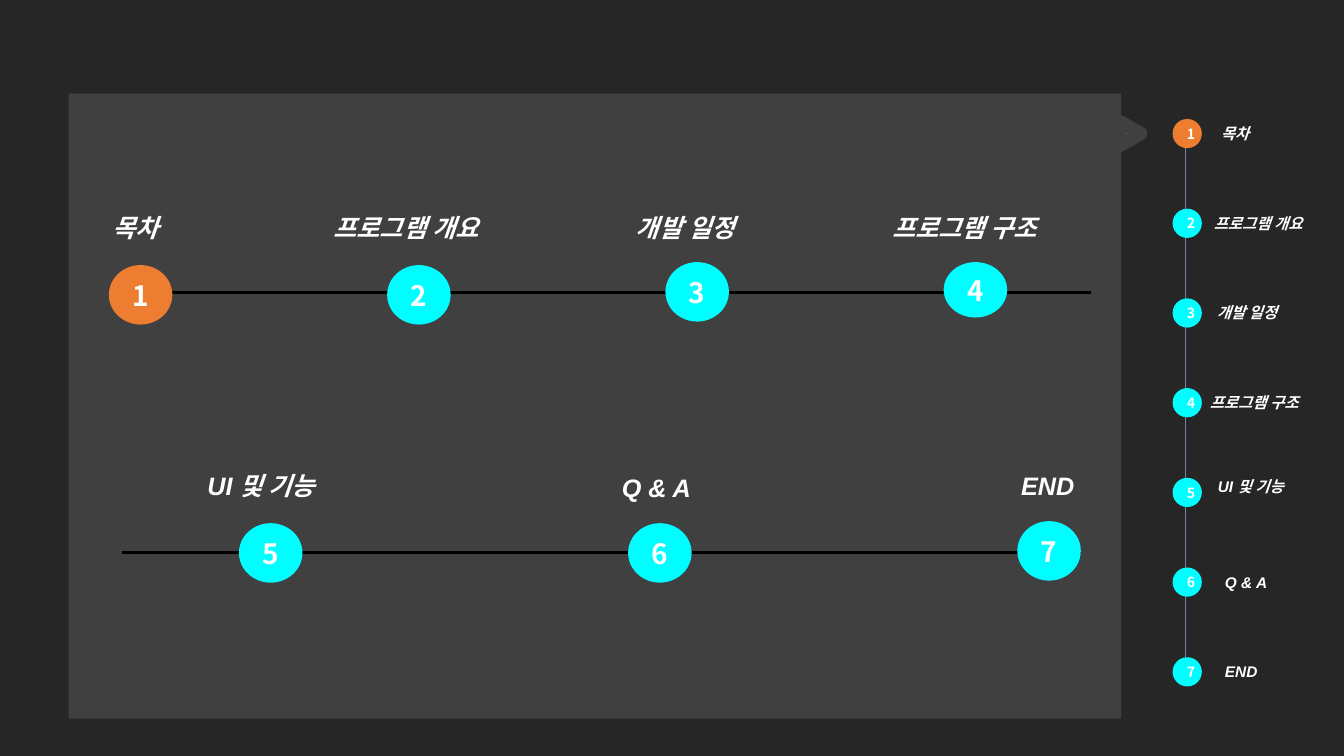
import pptx
import pptx.util
import pptx.dml.color
import pptx.enum.shapes
import pptx.enum.text
import pptx.oxml

PX = 9144  # 100 px to the inch
SHAPE = pptx.enum.shapes.MSO_SHAPE
CYAN, ORANGE, WHITE, GREY = "00FDFF", "ED7D31", "FFFFFF", "404040"


def px(*nums):
    return [pptx.util.Emu(n * PX) for n in nums]


def color(code):
    return pptx.dml.color.RGBColor.from_string(code)


def write(frame, text, size, font, slant=False):
    run = frame.paragraphs[0].add_run()
    run.text = text
    run.font.name = font
    run.font.size = pptx.util.Pt(size)
    run.font.bold = True
    run.font.italic = slant
    run.font.color.rgb = color(WHITE)


def shape(slide, kind, box, fill):
    item = slide.shapes.add_shape(kind, *px(*box))
    item.shadow.inherit = False
    item.fill.solid()
    item.fill.fore_color.rgb = color(fill)
    item.line.fill.background()
    return item


def line(slide, ends, code, width):
    item = slide.shapes.add_connector(
        pptx.enum.shapes.MSO_CONNECTOR.STRAIGHT, *px(*ends))
    item.line.color.rgb = color(code)
    item.line.width = pptx.util.Pt(width)
    item._element.spPr.append(
        pptx.oxml.parse_xml('<a:effectLst xmlns:a="http://schemas.openxmlformats.org/drawingml/2006/main"/>'))


def dot(slide, num, box, size):
    """Numbered circle; the current step, 1, is orange."""
    item = shape(slide, SHAPE.OVAL, box, ORANGE if num == 1 else CYAN)
    frame = item.text_frame
    frame.vertical_anchor = pptx.enum.text.MSO_ANCHOR.MIDDLE
    frame.paragraphs[0].alignment = pptx.enum.text.PP_ALIGN.CENTER
    write(frame, str(num), size, "Noto Sans CJK KR")


def label(slide, text, box, size):
    frame = slide.shapes.add_textbox(*px(*box)).text_frame
    frame.word_wrap = True
    frame.auto_size = pptx.enum.text.MSO_AUTO_SIZE.SHAPE_TO_FIT_TEXT
    write(frame, text, size, "Arial", True)


def panel(slide, left, top, width, height):
    """Grey panel with a pointer towards the first step of the rail."""
    shape(slide, SHAPE.RECTANGLE, (left, top, width, height), GREY)
    tip = shape(slide, SHAPE.ISOSCELES_TRIANGLE,
                (left + width - 3, top + 29, 24, 21), WHITE)
    tip.rotation = 90
    tip.line.color.rgb = color(GREY)
    tip.line.width = pptx.util.Pt(9.5)


def row(slide, left, top, step, first, ends, stops):
    """Row of steps; a stop is text, label x, width and drop, dot drop, height."""
    line(slide, (left + ends[0], top + 84, left + ends[1], top + 84),
         "000000", 2.25)
    for i, (text, x, wide, drop, fall, high) in enumerate(stops):
        label(slide, text, (left + x, top + drop, wide, 40), 18)
        dot(slide, first + i, (left + step * i, top + fall, 63, high), 20)


def rail(slide, left, top, step, stops):
    """Side list of steps; a stop is text, label x, width and drop."""
    line(slide, (left + 13, top + 20, left + 13, top + step * 6 + 17),
         "77809D", 1)
    for i, (text, x, wide, drop) in enumerate(stops):
        y = top + step * i
        label(slide, text, (left + x, y + drop, wide, 29), 11)
        dot(slide, i + 1, (left, y, 29, 29), 10)


def main():
    deck = pptx.Presentation()
    deck.slide_width, deck.slide_height = px(1333, 750)
    slide = deck.slides.add_slide(deck.slide_layouts[6])
    slide.background.fill.solid()
    slide.background.fill.fore_color.rgb = color("262626")

    panel(slide, 68, 93, 1044, 620)
    row(slide, 108, 206, 276, 1, (1, 974), [
        ("목차", -6, 74, 0, 57, 59),
        ("프로그램 개요", 213, 189, 0, 57, 59),
        ("개발 일정", 513, 140, 0, 54, 59),
        ("프로그램 구조", 767, 185, 0, 54, 55),
    ])
    row(slide, 237, 464, 386, 5, (-116, 835), [
        ("UI 및 기능", -41, 146, -2, 55, 59),
        ("Q & A", 370, 96, 0, 55, 59),
        ("END", 766, 74, -2, 53, 59),
    ])
    rail(slide, 1163, 118, 89, [
        ("목차", 38, 57, 0),
        ("프로그램 개요", 31, 119, 0),
        ("개발 일정", 34, 95, 0),
        ("프로그램 구조", 27, 119, 0),
        ("UI 및 기능", 35, 102, -6),
        ("Q & A", 42, 72, 1),
        ("END", 42, 72, 0),
    ])
    deck.save("out.pptx")


if __name__ == "__main__":
    main()
